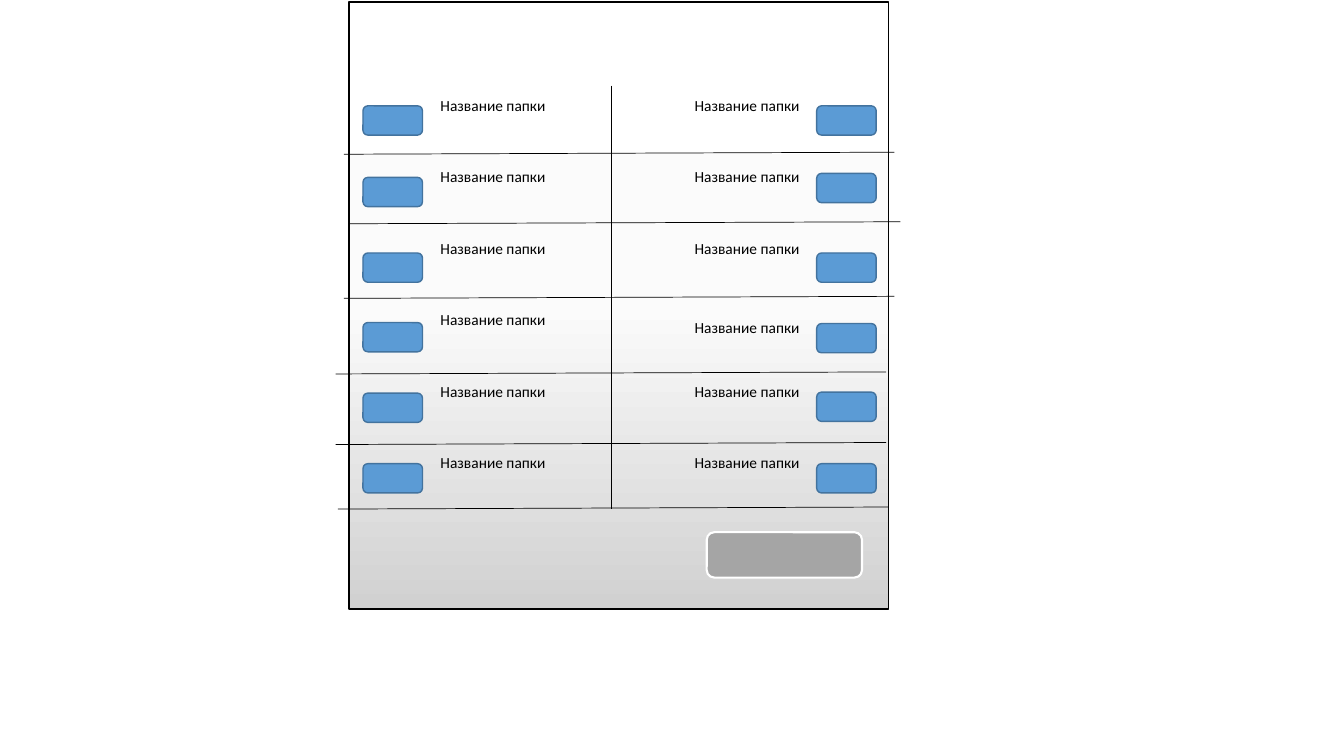
from copy import deepcopy
from pptx import Presentation
from pptx.dml.color import RGBColor
from pptx.enum.shapes import MSO_CONNECTOR, MSO_SHAPE
from pptx.enum.text import MSO_AUTO_SIZE
from pptx.oxml.ns import qn
from pptx.util import Inches, Pt
from lxml import etree

RECT = MSO_SHAPE.RECTANGLE
ROUND = MSO_SHAPE.ROUNDED_RECTANGLE
LINE = MSO_CONNECTOR.STRAIGHT
GROW = MSO_AUTO_SIZE.SHAPE_TO_FIT_TEXT


def paint(color, value):
    color.rgb = RGBColor.from_string(value)


def add_box(kind, place, fill, edge, width):
    box = slide.shapes.add_shape(kind, *map(Inches, place))
    box.shadow.inherit = False
    box.fill.solid()
    paint(box.fill.fore_color, fill)
    paint(box.line.color, edge)
    box.line.width = Pt(width)
    return box


deck = Presentation()
deck.slide_width, deck.slide_height = Inches(13.33), Inches(7.5)
slide = deck.slides.add_slide(deck.slide_layouts[6])

# Panel with a grey fade from top to bottom
panel = add_box(RECT, (3.46, 0.02, 5.35, 6.02), "FFFFFF", "000000", 1)
panel.fill.gradient()
panel.fill.gradient_angle = 270
stops = panel.fill.gradient_stops
first = panel.element.spPr.find(".//" + qn("a:gs"))
first.addnext(deepcopy(first))
for stop, (pos, shade) in zip(panel.fill.gradient_stops,
                              [(0, "FFFFFF"), (0.5, "FBFBFB"), (1, "D1D1D1")]):
    stop.position = pos
    paint(stop.color, shade)

# Two columns of folders: label left, key left, label tops, key tops
labels = [0.9, 1.61, 2.32, 3.03, 3.74, 4.45]
columns = [
    (4.27, 3.6, labels, [1.05, 1.76, 2.51, 3.2, 3.9, 4.6]),
    (6.79, 8.1, labels[:3] + [3.11] + labels[4:],
     [1.05, 1.72, 2.51, 3.21, 3.89, 4.6]),
]
for text_x, key_x, text_tops, key_tops in columns:
    for text_y, key_y in zip(text_tops, key_tops):
        label = slide.shapes.add_textbox(
            Inches(text_x), Inches(text_y), Inches(1.41), Inches(0.29))
        frame = label.text_frame
        frame.word_wrap = True
        frame.auto_size = GROW
        run = frame.paragraphs[0].add_run()
        run.text = "Название папки"
        run.font.name = "Calibri"
        run.font.size = Pt(11)
        paint(run.font.color, "000000")
        add_box(ROUND, (key_x, key_y, 0.59, 0.29), "5B9BD5", "43739E", 1)

# Bottom button
add_box(ROUND, (7.01, 5.28, 1.54, 0.45), "A5A5A5", "FFFFFF", 1.5)

# Slightly tilted row rules and the middle rule
rows = [(3.41, 1.53), (3.47, 2.22), (3.41, 2.96),
        (3.33, 3.71), (3.33, 4.41), (3.35, 5.05)]
rules = [(x, y, x + 5.46, y - 0.02) for x, y in rows]
rules.append((6.06, 0.85, 6.06, 5.05))
for ends in rules:
    rule = slide.shapes.add_connector(LINE, *map(Inches, ends))
    paint(rule.line.color, "000000")
    rule.line.width = Pt(0.5)
    etree.SubElement(rule.element.spPr, qn("a:effectLst"))

deck.save("out.pptx")
